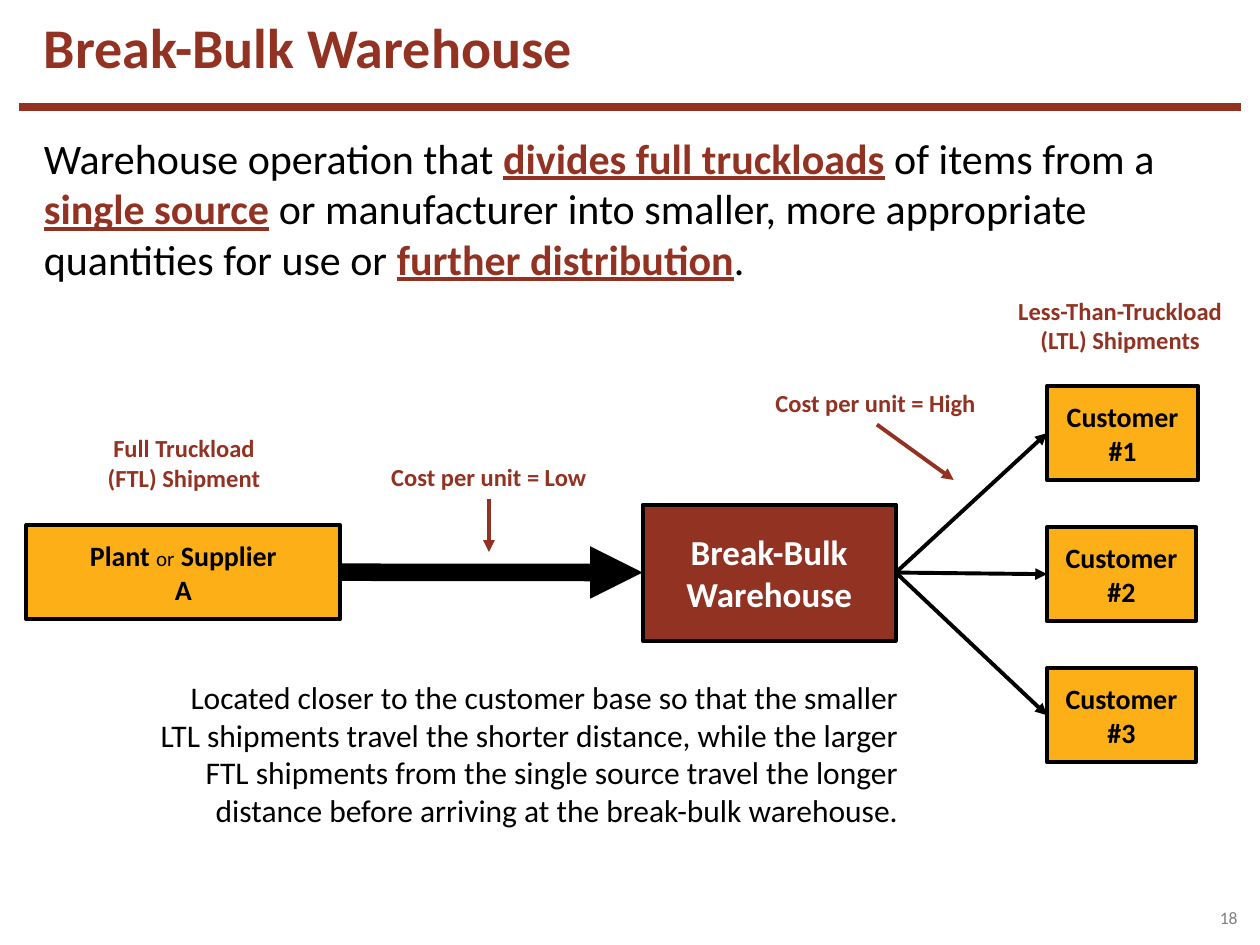
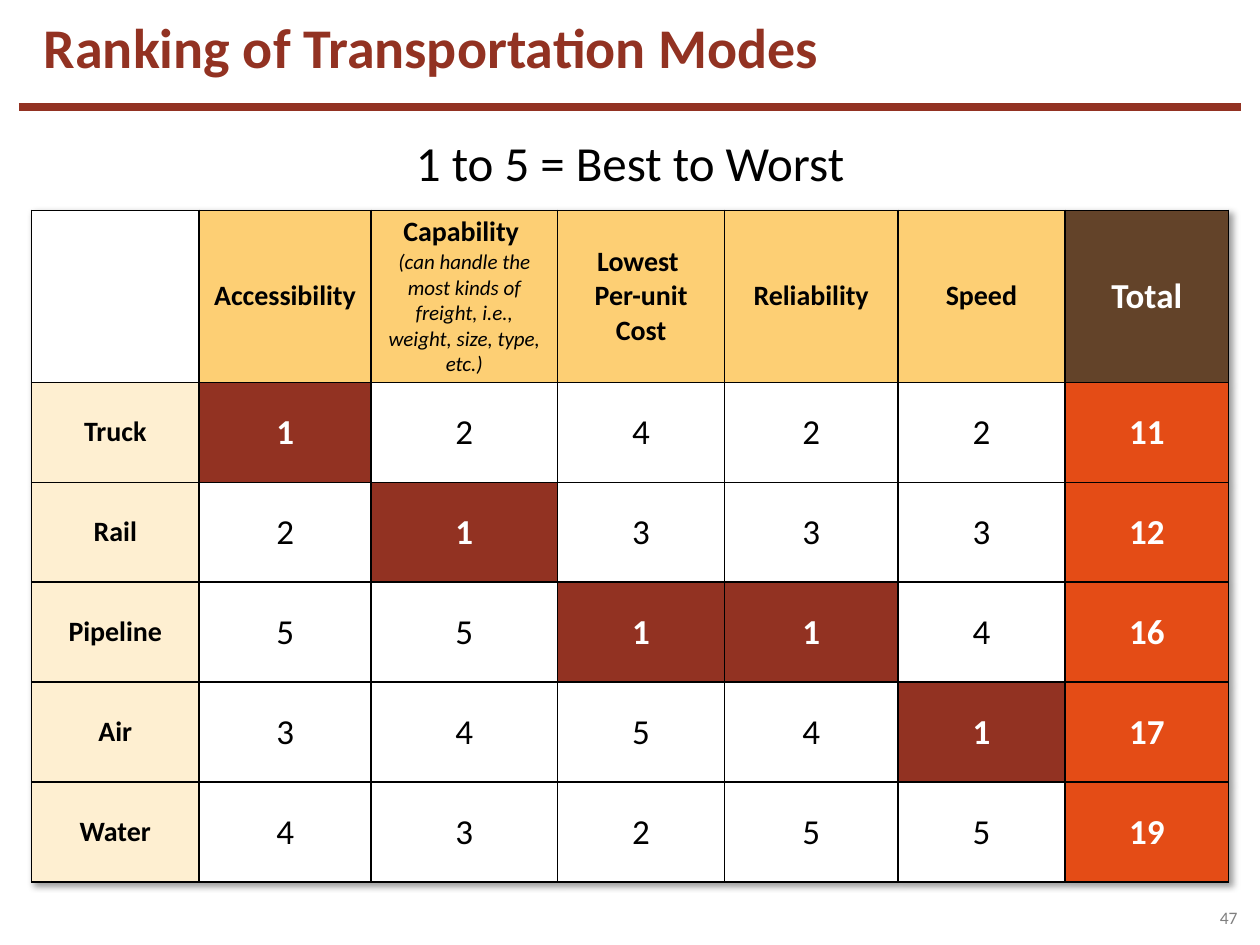
"""Builds two logistics slides: a break-bulk warehouse flow and a transport ranking table."""
from lxml import etree
from pptx import Presentation
from pptx.dml.color import RGBColor
from pptx.enum import shapes, text
from pptx.oxml import parse_xml
from pptx.oxml import ns
from pptx.util import Pt

FONT = "Calibri"
RED = RGBColor(0x92, 0x32, 0x22)
AMBER = RGBColor(0xFC, 0xAF, 0x17)
SAND = RGBColor(0xFD, 0xCF, 0x74)
CREAM = RGBColor(0xFE, 0xEF, 0xD1)
BROWN = RGBColor(0x63, 0x43, 0x29)
ORANGE = RGBColor(0xE4, 0x4C, 0x16)
BLACK = RGBColor(0, 0, 0)
WHITE = RGBColor(0xFF, 0xFF, 0xFF)
GREY = RGBColor(0x7F, 0x7F, 0x7F)

LEFT, CENTER, RIGHT = text.PP_ALIGN.LEFT, text.PP_ALIGN.CENTER, text.PP_ALIGN.RIGHT
MIDDLE = text.MSO_ANCHOR.MIDDLE

CRITERIA = ["Accessibility",
            ["Capability ", [("(can handle the most kinds of freight, i.e., "
                              "weight, size, type, etc.)",
                              {"size": Pt(12), "bold": False, "italic": True})]],
            ["Lowest ", "Per-unit Cost"], "Reliability", "Speed"]
RANKS = {"Truck": [1, 2, 4, 2, 2], "Rail": [2, 1, 3, 3, 3], "Pipeline": [5, 5, 1, 1, 4],
         "Air": [3, 4, 5, 4, 1], "Water": [4, 3, 2, 5, 5]}
COLUMN_WIDTHS = [95.8, 98.3, 106.6, 95.4, 99.1, 95.4, 93.6]


def write(tf, content, size, color=BLACK, bold=False, align=LEFT):
    """Fill a text frame with paragraphs, each a string or a list of (text, font overrides)."""
    paragraphs = content if isinstance(content, list) else [content]
    for i, parts in enumerate(paragraphs):
        p = tf.add_paragraph() if i else tf.paragraphs[0]
        p.alignment = align
        for words, overrides in [(parts, {})] if isinstance(parts, str) else parts:
            r = p.add_run()
            r.text = words
            r.font.name, r.font.size, r.font.bold = FONT, Pt(size), bold
            r.font.color.rgb = color
            for name, value in overrides.items():
                if name == "color":
                    r.font.color.rgb = value
                else:
                    setattr(r.font, name, value)


def set_insets(tf, inset):
    """Give a text frame the same inset on all sides."""
    tf.margin_left = tf.margin_top = tf.margin_right = tf.margin_bottom = Pt(inset)


def add_text(s, box, content, size, wrap=True, **style):
    """Add a text box and return its text frame."""
    tf = s.shapes.add_textbox(*map(Pt, box)).text_frame
    tf.word_wrap = wrap
    write(tf, content, size, **style)
    return tf


def add_label(s, box, content):
    """Add a bold red diagram label."""
    add_text(s, box, content, 14, wrap=False, color=RED, bold=True, align=CENTER)


def add_node(s, box, content, size=16, fill=AMBER, color=BLACK):
    """Add an outlined rectangle with centred bold text."""
    sp = s.shapes.add_shape(shapes.MSO_SHAPE.RECTANGLE, *map(Pt, box))
    sp.shadow.inherit = False
    sp.fill.solid()
    sp.fill.fore_color.rgb = fill
    sp.line.color.rgb = BLACK
    sp.line.width = Pt(2.25)
    tf = sp.text_frame
    tf.word_wrap = False
    tf.vertical_anchor = MIDDLE
    set_insets(tf, 0)
    write(tf, content, size, color=color, bold=True, align=CENTER)
    return sp


def add_line(s, start=(0, 0), end=(0, 0), color=BLACK, width=2.25, arrow=True):
    """Add a straight connector, with an arrowhead at its end if wanted."""
    cxn = s.shapes.add_connector(shapes.MSO_CONNECTOR.STRAIGHT, *map(Pt, (*start, *end)))
    cxn.line.color.rgb = color
    cxn.line.width = Pt(width)
    sp_pr = cxn._element.spPr
    if arrow:
        etree.SubElement(sp_pr.find(ns.qn("a:ln")), ns.qn("a:tailEnd"), type="triangle")
    etree.SubElement(sp_pr, ns.qn("a:effectLst"))
    return cxn


def link(s, source, target, **style):
    """Join the right side of one node to the left side of another."""
    cxn = add_line(s, **style)
    cxn.begin_connect(source, 3)
    cxn.end_connect(target, 1)


def start_slide(prs, title, number):
    """Add a blank slide with the shared rule, title and slide number."""
    s = prs.slides.add_slide(prs.slide_layouts[6])
    add_line(s, (10.8, 61.2), (709.2, 61.2), RED, 4.5, arrow=False)
    tf = add_text(s, (18, 10.8, 702, 38.6), title, 32, color=RED, bold=True)
    tf.vertical_anchor = MIDDLE
    tf.paragraphs[0].line_spacing = 0.8
    tf = add_text(s, (697, 517.7, 15.1, 13.7), str(number), 10, color=GREY)
    tf.vertical_anchor = MIDDLE
    set_insets(tf, 0)
    return s


def style_cell(cell, content, size, fill, color=BLACK, bold=True):
    """Write a centred table cell with black borders and a solid fill."""
    cell.vertical_anchor = MIDDLE
    cell.margin_top = cell.margin_bottom = Pt(2)
    tc_pr = cell._tc.get_or_add_tcPr()
    for side in "LRTB":
        ln = etree.SubElement(tc_pr, ns.qn(f"a:ln{side}"), w=str(Pt(1)))
        solid = etree.SubElement(ln, ns.qn("a:solidFill"))
        etree.SubElement(solid, ns.qn("a:srgbClr"), val=str(BLACK))
    cell.fill.solid()
    cell.fill.fore_color.rgb = fill
    if content:
        write(cell.text_frame, content, size, color=color, bold=bold, align=CENTER)


def add_ranking_table(s):
    """Add the ranking table, marking each best rank and totalling each row."""
    tbl = s.shapes.add_table(len(RANKS) + 1, len(COLUMN_WIDTHS),
                             Pt(18), Pt(120.2), Pt(684), Pt(384)).table
    tbl.first_row = tbl.horz_banding = False
    tbl._tbl.tblPr.insert(0, parse_xml(
        f'<a:effectLst {ns.nsdecls("a")}><a:outerShdw blurRad="50800" dist="38100" '
        'dir="2700000" algn="tl" rotWithShape="0"><a:srgbClr val="000000">'
        '<a:alpha val="40000"/></a:srgbClr></a:outerShdw></a:effectLst>'))
    for column, width in zip(tbl.columns, COLUMN_WIDTHS):
        column.width = Pt(width)
    for i, row in enumerate(tbl.rows):
        row.height = Pt(57.14 if i else 98.3)

    last = len(COLUMN_WIDTHS) - 1
    style_cell(tbl.cell(0, 0), "", 16, WHITE)
    for j, criterion in enumerate(CRITERIA, 1):
        style_cell(tbl.cell(0, j), criterion, 16, SAND)
    style_cell(tbl.cell(0, last), "Total", 20, BROWN, WHITE)
    for i, (mode, ranks) in enumerate(RANKS.items(), 1):
        style_cell(tbl.cell(i, 0), mode, 16, CREAM)
        for j, rank in enumerate(ranks, 1):
            best = rank == 1
            style_cell(tbl.cell(i, j), str(rank), 20, RED if best else WHITE,
                       WHITE if best else BLACK, best)
        style_cell(tbl.cell(i, last), str(sum(ranks)), 20, ORANGE, WHITE)


def build_warehouse_slide(prs):
    """Build the break-bulk warehouse diagram."""
    s = start_slide(prs, "Break-Bulk Warehouse", 18)
    key = {"color": RED, "bold": True, "underline": True}
    add_text(s, (18, 72, 684, 94.3), [[
        ("Warehouse operation that ", {}), ("divides full truckloads", key),
        (" of items from a ", {}), ("single source", key),
        (" or manufacturer into smaller, more appropriate quantities for use or ", {}),
        ("further distribution", key), (".", {})]], 24)

    warehouse = add_node(s, (367.2, 288.3, 144.7, 77.8), ["Break-Bulk", "Warehouse"],
                         20, RED, WHITE)
    plant = add_node(s, (15.1, 300, 179.3, 54), [
        [("Plant ", {}), ("or", {"size": Pt(12), "bold": False}), (" Supplier", {})], "A"])
    link(s, plant, warehouse, width=10)
    for i in range(3):
        customer = add_node(s, (598.3, 220.5 + 80.6 * i, 85 if i else 86.4, 54),
                            ["Customer", f"#{i + 1}"])
        link(s, warehouse, customer)

    add_label(s, (571, 165.6, 138.2, 41), ["Less-Than-Truckload", "(LTL) Shipments"])
    add_label(s, (52.6, 244.1, 105.1, 41), ["Full Truckload", "(FTL) Shipment"])
    add_label(s, (435.6, 218.2, 129.6, 24.5), "Cost per unit = High")
    add_label(s, (216, 260.6, 126.7, 24.5), "Cost per unit = Low")
    add_line(s, (501.1, 242.6), (545, 274.3), RED)
    add_line(s, (279.4, 285.1), (279.4, 315.4), RED)
    add_text(s, (77, 383.8, 443.5, 94.3),
             "Located closer to the customer base so that the smaller LTL shipments travel "
             "the shorter distance, while the larger FTL shipments from the single source "
             "travel the longer distance before arriving at the break-bulk warehouse.",
             18, align=RIGHT)


def build_ranking_slide(prs):
    """Build the transportation ranking table."""
    s = start_slide(prs, "Ranking of Transportation Modes", 47)
    add_ranking_table(s)
    add_text(s, (229, 72, 262, 41), "1 to 5 = Best to Worst", 28, wrap=False, align=CENTER)


def main():
    """Create and save the presentation."""
    prs = Presentation()
    prs.slide_width, prs.slide_height = Pt(720), Pt(540)
    build_warehouse_slide(prs)
    build_ranking_slide(prs)
    prs.save("out.pptx")


if __name__ == "__main__":
    main()
